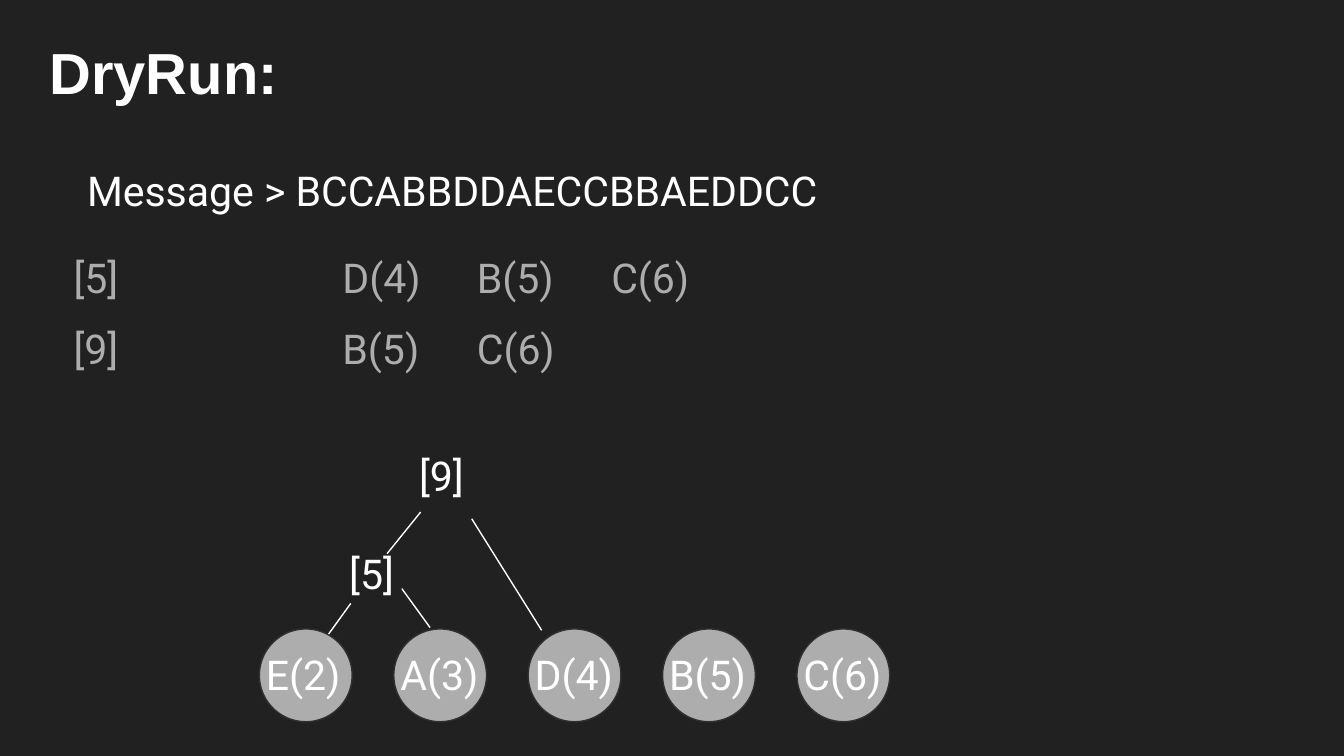
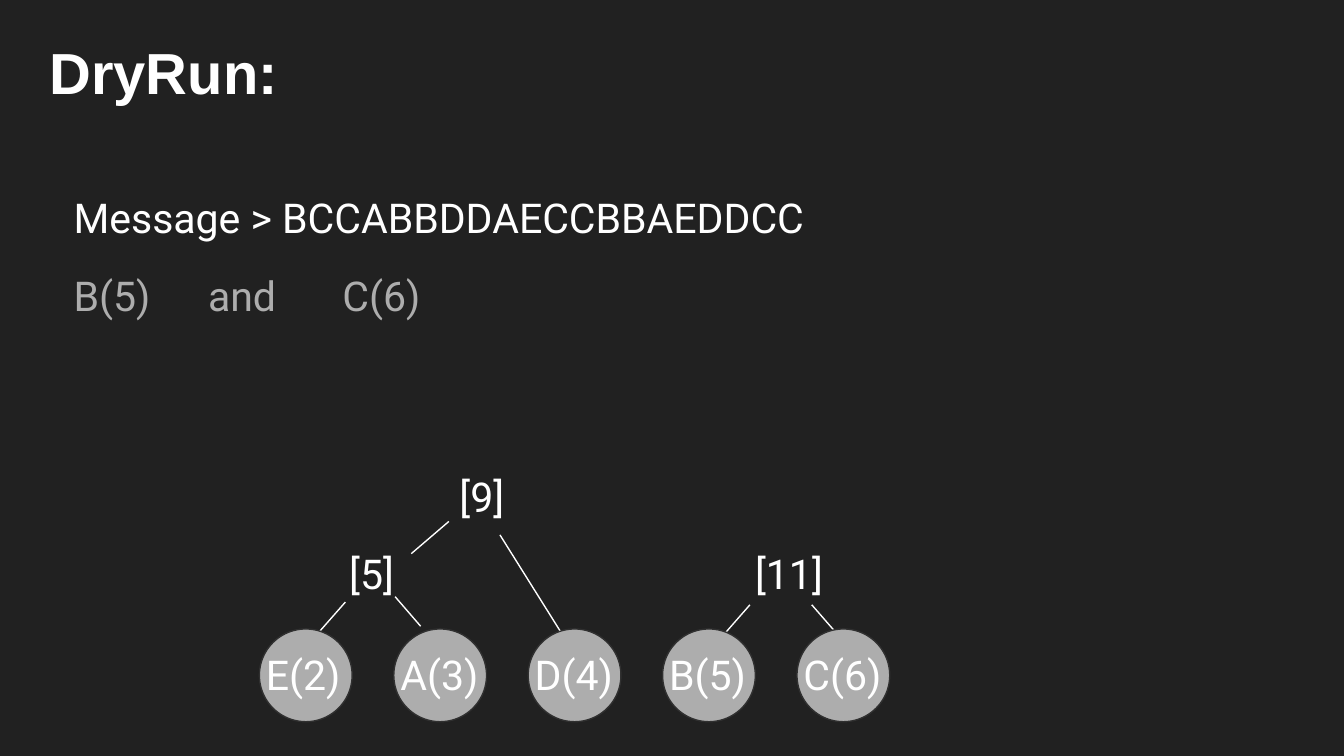
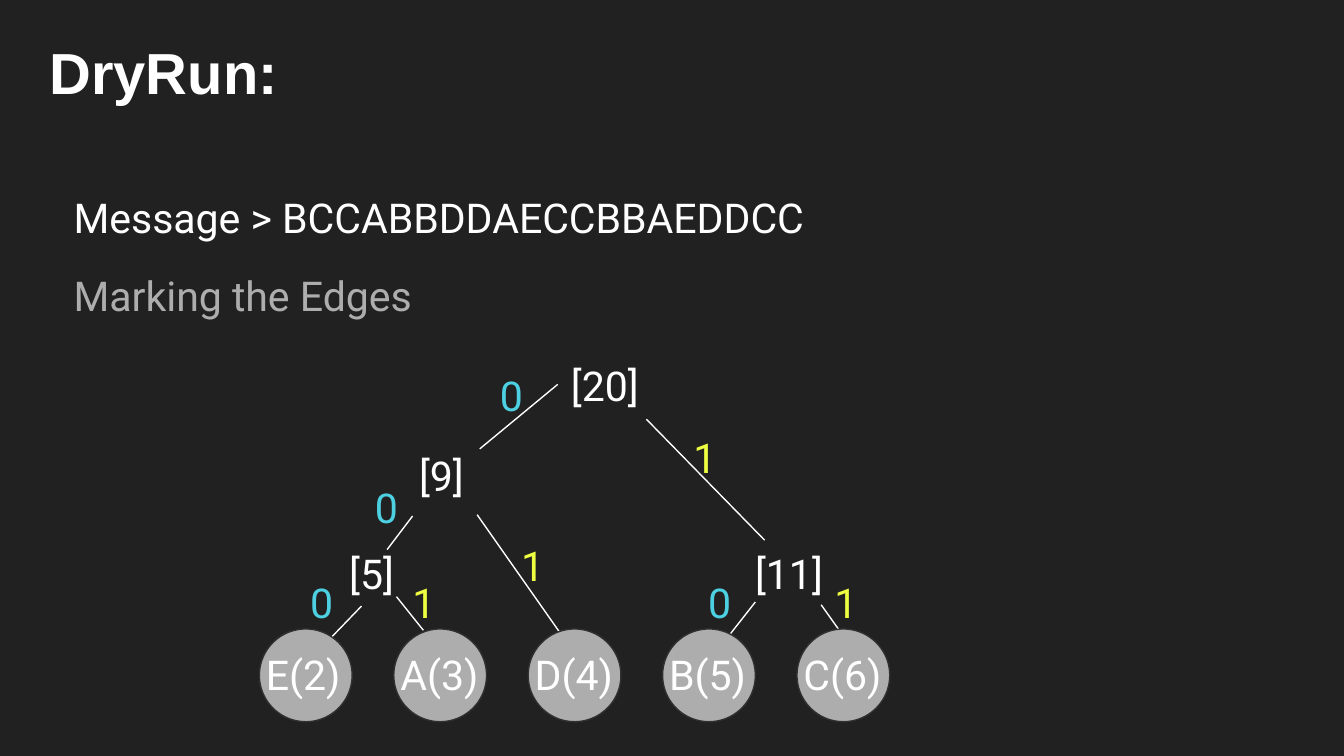
from dataclasses import dataclass

from lxml.etree import SubElement
from pptx import Presentation
from pptx.dml.color import RGBColor
from pptx.enum.shapes import MSO_CONNECTOR, MSO_SHAPE
from pptx.enum.text import MSO_AUTO_SIZE
from pptx.oxml.ns import qn
from pptx.util import Inches, Pt


@dataclass(frozen=True)
class Theme:
    back: str = "212121"
    white: str = "FFFFFF"
    grey: str = "ADADAD"
    rim: str = "303030"
    zero: str = "4DD0E1"
    one: str = "EEFF41"
    head: str = "Arial"
    body: str = "Roboto"
    big: int = 31
    size: int = 22
    line: float = 0.75


T = Theme()
WIDTH = Inches(10)
HEIGHT = WIDTH * 9 // 16
TITLE = "DryRun:"
MESSAGE = "Message > BCCABBDDAECCBBAEDDCC"
LEAVES = ["E(2)", "A(3)", "D(4)", "B(5)", "C(6)"]
LEAF_X, LEAF_Y, LEAF_D, PITCH = 1.93, 4.68, 0.69, 1
TEXT_H, NODE_W, MARK_W = 0.57, 3.28, 0.39

# message: left, top; notes: top, text; nodes and marks: text, left, top;
# edges: from x, y, to x, y
SLIDES = [
    {
        "message": (0.55, 1.13),
        "notes": [(1.78, "[5]\t\tD(4)\tB(5)\tC(6)"), (2.31, "[9]\t\tB(5)\tC(6)")],
        "nodes": [("[5]", 2.5, 3.98), ("[9]", 3.02, 3.25)],
        "edges": [
            (2.4, 4.78, 2.61, 4.49),
            (3.2, 4.67, 2.99, 4.38),
            (2.88, 4.12, 3.13, 3.81),
            (3.51, 3.86, 4.03, 4.69),
        ],
        "marks": [],
    },
    {
        "message": (0.45, 1.33),
        "notes": [(1.91, "B(5)\tand\tC(6)")],
        "nodes": [("[5]", 2.5, 3.98), ("[11]", 5.52, 3.98), ("[9]", 3.32, 3.41)],
        "edges": [
            (2.35, 4.73, 2.57, 4.48),
            (3.13, 4.66, 2.94, 4.44),
            (3.06, 4.12, 3.34, 3.88),
            (3.72, 3.98, 4.24, 4.81),
            (5.3, 4.82, 5.58, 4.5),
            (6.24, 4.73, 6.04, 4.5),
        ],
        "marks": [],
    },
    {
        "message": (0.45, 1.33),
        "notes": [(1.91, "Marking the Edges")],
        "nodes": [
            ("[5]", 2.5, 3.98),
            ("[9]", 3.02, 3.25),
            ("[11]", 5.52, 3.98),
            ("[20]", 4.15, 2.58),
        ],
        "edges": [
            (4.15, 2.86, 3.57, 3.34),
            (4.81, 3.12, 5.69, 4.02),
            (3.07, 3.84, 2.88, 4.09),
            (3.55, 3.83, 4.21, 4.77),
            (2.69, 4.51, 2.42, 4.79),
            (3.15, 4.69, 2.95, 4.44),
            (5.4, 4.76, 5.62, 4.48),
            (6.33, 4.81, 6.11, 4.5),
        ],
        "marks": [
            ("0", 3.62, 2.66),
            ("0", 2.69, 3.49),
            ("0", 2.21, 4.2),
            ("0", 5.17, 4.2),
            ("1", 5.06, 3.12),
            ("1", 6.11, 4.2),
            ("1", 3.78, 3.92),
            ("1", 2.97, 4.2),
        ],
    },
]


def paint(code):
    return RGBColor.from_string(code)


def write(slide, text, x, y, w, h=TEXT_H, *, color=T.white, font=T.body,
          size=T.size, bold=False):
    """Add a text box whose tab stops are one pitch apart."""
    box = slide.shapes.add_textbox(Inches(x), Inches(y), Inches(w), Inches(h))
    frame = box.text_frame
    frame.word_wrap = True
    frame.auto_size = MSO_AUTO_SIZE.SHAPE_TO_FIT_TEXT
    frame.margin_left = frame.margin_right = Inches(0.1)
    frame.margin_top = frame.margin_bottom = Inches(0.1)
    para = frame.paragraphs[0]
    if "\t" in text:
        stops = SubElement(para._p.get_or_add_pPr(), qn("a:tabLst"))
        for i in range(1, text.count("\t") + 1):
            SubElement(stops, qn("a:tab"), pos=str(Inches(i * PITCH)), algn="l")
    run = para.add_run()
    run.text = text
    run.font.name, run.font.size, run.font.bold = font, Pt(size), bold
    run.font.color.rgb = paint(color)


def edge(slide, *ends):
    line = slide.shapes.add_connector(
        MSO_CONNECTOR.STRAIGHT, *[Inches(end) for end in ends])
    line.line.color.rgb = paint(T.white)
    line.line.width = Pt(T.line)
    SubElement(line._element.spPr, qn("a:effectLst"))


def leaves(slide):
    """Draw the row of circles and the labels over it."""
    for i in range(len(LEAVES)):
        disc = slide.shapes.add_shape(
            MSO_SHAPE.OVAL, Inches(LEAF_X + i * PITCH), Inches(LEAF_Y),
            Inches(LEAF_D), Inches(LEAF_D))
        disc.shadow.inherit = False
        disc.fill.solid()
        disc.fill.fore_color.rgb = paint(T.grey)
        disc.line.color.rgb = paint(T.rim)
        disc.line.width = Pt(T.line)
    write(slide, "\t".join(LEAVES), LEAF_X - 0.05, LEAF_Y + 0.05, 5.82)


def build(deck, data):
    slide = deck.slides.add_slide(deck.slide_layouts[6])
    slide.background.fill.solid()
    slide.background.fill.fore_color.rgb = paint(T.back)
    write(slide, TITLE, 0.27, 0.17, 3.28, 0.72, font=T.head, size=T.big, bold=True)
    write(slide, MESSAGE, *data["message"], 9.1)
    for top, text in data["notes"]:
        write(slide, text, 0.45, top, 6.26, color=T.grey)
    for node in data["nodes"]:
        write(slide, *node, NODE_W)
    for ends in data["edges"]:
        edge(slide, *ends)
    leaves(slide)
    for mark in data["marks"]:
        write(slide, *mark, MARK_W, color=T.zero if mark[0] == "0" else T.one)


def main():
    deck = Presentation()
    deck.slide_width, deck.slide_height = WIDTH, HEIGHT
    for data in SLIDES:
        build(deck, data)
    deck.save("out.pptx")


if __name__ == "__main__":
    main()
